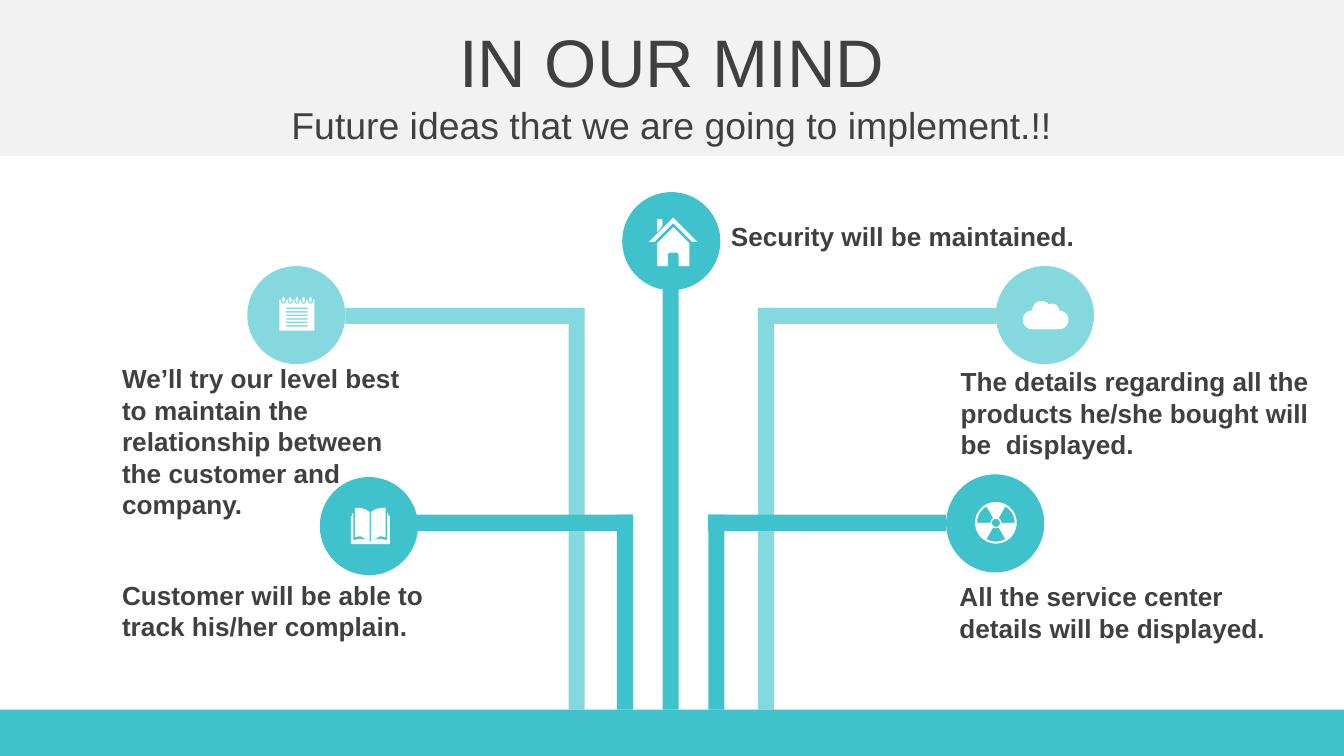
from dataclasses import dataclass
from math import cos, radians, sin

from pptx import Presentation
from pptx.dml.color import RGBColor
from pptx.enum.shapes import MSO_SHAPE
from pptx.enum.text import MSO_ANCHOR, PP_ALIGN
from pptx.shapes.autoshape import Shape
from pptx.slide import Slide
from pptx.util import Inches, Pt

TEAL = RGBColor(0x3F, 0xC2, 0xCB)
LIGHT_TEAL = RGBColor(0x85, 0xD8, 0xDE)
LIGHT_GRAY = RGBColor(0xF2, 0xF2, 0xF2)
DARK_GRAY = RGBColor(0x40, 0x40, 0x40)
WHITE = RGBColor(0xFF, 0xFF, 0xFF)

SLIDE_WIDTH = 10
SLIDE_HEIGHT = SLIDE_WIDTH * 9 / 16
GROUND_TOP = 5.28
BAR_THICKNESS = 0.12
BAR_LENGTH = 1.77
CIRCLE_SIZE = 0.73

Contour = list[tuple[float, float]]


@dataclass
class Branch:
    post_left: float
    bar_left: float
    bar_top: float
    circle_left: float
    circle_top: float
    color: RGBColor


@dataclass
class Label:
    text: str
    left: float
    top: float
    width: float
    height: float
    anchor: MSO_ANCHOR = MSO_ANCHOR.MIDDLE
    size: int = 14
    bold: bool = True
    alignment: PP_ALIGN = PP_ALIGN.LEFT


BRANCHES = [
    Branch(4.23, 2.57, 2.29, 1.84, 1.98, LIGHT_TEAL),
    Branch(5.64, 5.64, 2.29, 7.41, 1.98, LIGHT_TEAL),
    Branch(5.27, 5.27, 3.83, 7.04, 3.53, TEAL),
    Branch(4.59, 2.94, 3.83, 2.38, 3.55, TEAL),
]

LABELS = [
    Label("IN OUR MIND", 0, 0.14, SLIDE_WIDTH, 0.63,
          size=36, bold=False, alignment=PP_ALIGN.CENTER),
    Label("Future ideas that we are going to implement.!!", 0, 0.77, SLIDE_WIDTH, 0.31,
          size=20, bold=False, alignment=PP_ALIGN.CENTER),
    Label("Security will be maintained.", 5.34, 1.59, 3.08, 0.34),
    Label("We’ll try our level best to maintain the relationship between "
          "the customer and company.", 0.81, 2.65, 2.29, 1.51, MSO_ANCHOR.TOP),
    Label("The details regarding all the products he/she bought will be  displayed.",
          7.05, 2.19, 2.81, 1.28, MSO_ANCHOR.BOTTOM),
    Label("Customer will be able to track his/her complain.", 0.81, 4.26, 2.81, 0.57),
    Label("All the service center details will be displayed.", 7.04, 4.27, 2.81, 0.57),
]


def paint(shape: Shape, color: RGBColor) -> None:
    shape.shadow.inherit = False
    shape.fill.solid()
    shape.fill.fore_color.rgb = color
    shape.line.fill.background()


def add_block(slide: Slide, left: float, top: float, width: float, height: float,
              color: RGBColor, kind: MSO_SHAPE = MSO_SHAPE.RECTANGLE) -> None:
    shape = slide.shapes.add_shape(
        kind, Inches(left), Inches(top), Inches(width), Inches(height))
    paint(shape, color)


def add_circle(slide: Slide, left: float, top: float, color: RGBColor) -> None:
    add_block(slide, left, top, CIRCLE_SIZE, CIRCLE_SIZE, color, MSO_SHAPE.OVAL)


def add_branch(slide: Slide, branch: Branch) -> None:
    add_block(slide, branch.post_left, branch.bar_top, BAR_THICKNESS,
              GROUND_TOP - branch.bar_top, branch.color)
    add_block(slide, branch.bar_left, branch.bar_top, BAR_LENGTH, BAR_THICKNESS, branch.color)
    add_circle(slide, branch.circle_left, branch.circle_top, branch.color)


def add_label(slide: Slide, label: Label) -> None:
    box = slide.shapes.add_textbox(
        Inches(label.left), Inches(label.top), Inches(label.width), Inches(label.height))
    frame = box.text_frame
    frame.word_wrap = True
    frame.vertical_anchor = label.anchor
    paragraph = frame.paragraphs[0]
    paragraph.text = label.text
    paragraph.alignment = label.alignment
    paragraph.font.name = "Arial"
    paragraph.font.size = Pt(label.size)
    paragraph.font.bold = label.bold
    paragraph.font.color.rgb = DARK_GRAY


def add_icon(slide: Slide, contours: list[Contour]) -> None:
    """Draw white contours as one outline; a contour inside another is a hole."""
    points = [[(Inches(x), Inches(y)) for x, y in contour] for contour in contours]
    builder = slide.shapes.build_freeform(*points[0][0])
    for index, contour in enumerate(points):
        if index:
            builder.move_to(*contour[0])
        builder.add_line_segments(contour[1:], close=True)
    paint(builder.convert_to_shape(), WHITE)


def arc(x: float, y: float, radius_x: float, radius_y: float,
        start: float = 0, end: float = 360, steps: int = 24) -> Contour:
    """Points on an arc; angles grow clockwise from the right."""
    angles = [radians(start + (end - start) * step / steps) for step in range(steps + 1)]
    return [(x + radius_x * cos(angle), y + radius_y * sin(angle)) for angle in angles]


def house_icon() -> list[Contour]:
    walls = [(5.01, 1.69), (5.13, 1.81), (5.13, 1.98), (5.05, 1.98),
             *arc(5.03, 1.9, 0.02, 0.02, 0, -90), *arc(4.99, 1.9, 0.02, 0.02, 270, 180),
             (4.97, 1.98), (4.89, 1.98), (4.89, 1.81)]
    roof = [(5.01, 1.62), (5.19, 1.8), (5.15, 1.8), (5.01, 1.66), (4.87, 1.8), (4.83, 1.8)]
    chimney = [(4.89, 1.63), (4.93, 1.63), (4.93, 1.68), (4.89, 1.73)]
    return [walls, roof, chimney]


def notebook_icon() -> list[Contour]:
    ring_centers = [2.11 + 0.05 * index for index in range(5)]
    page = [(2.08, 2.23)]
    for x in ring_centers:
        page += [(x - 0.02, 2.23), *arc(x, 2.24, 0.02, 0.02, 180, 0), (x + 0.02, 2.23)]
    page += [(2.34, 2.23), (2.34, 2.46), (2.08, 2.46)]
    rings = [arc(x, 2.23, 0.01, 0.02) for x in ring_centers]
    line_tops = [2.29 + 0.026 * index for index in range(6)]
    lines = [[(2.13, y), (2.29, y), (2.29, y + 0.01), (2.13, y + 0.01)] for y in line_tops]
    return [page, *rings, *lines]


def cloud_icon() -> list[Contour]:
    return [[*arc(7.68, 2.38, 0.07, 0.07, 90, 260), *arc(7.75, 2.31, 0.07, 0.07, 180, 330),
             *arc(7.83, 2.31, 0.05, 0.05, 240, 350), *arc(7.88, 2.38, 0.07, 0.07, 270, 450)]]


def book_icon() -> list[Contour]:
    spine = 2.755

    def mirror(contour: Contour) -> Contour:
        return [(2 * spine - x, y) for x, y in reversed(contour)]

    page = [(2.64, 3.78), (2.68, 3.78), (2.72, 3.79), (2.75, 3.81),
            (2.75, 4.03), (2.72, 4.01), (2.68, 3.99), (2.64, 4.0)]
    half_cover = [(2.61, 4.05), (2.61, 3.84), (2.62, 3.84), (2.62, 3.82), (2.63, 3.82),
                  (2.63, 4.02), (2.67, 4.01), (2.71, 4.01), (2.75, 4.03)]
    return [page, mirror(page), half_cover + mirror(half_cover)]


def radiation_icon() -> list[Contour]:
    x, y = 7.41, 3.89
    gaps = [arc(x, y, 0.14, 0.14, start, start + 60) + arc(x, y, 0.04, 0.04, start + 60, start)
            for start in (60, 180, 300)]
    return [arc(x, y, 0.155, 0.155, steps=48), arc(x, y, 0.03, 0.03), *gaps]


def main() -> None:
    presentation = Presentation()
    presentation.slide_width = Inches(SLIDE_WIDTH)
    presentation.slide_height = Inches(SLIDE_HEIGHT)
    slide = presentation.slides.add_slide(presentation.slide_layouts[6])

    # Header band, branches and ground
    add_block(slide, 0, 0, SLIDE_WIDTH, 1.16, LIGHT_GRAY)
    for branch in BRANCHES:
        add_branch(slide, branch)
    add_block(slide, 0, GROUND_TOP, SLIDE_WIDTH, SLIDE_HEIGHT - GROUND_TOP, TEAL)

    # Central stem
    add_block(slide, 4.93, 1.74, BAR_THICKNESS, GROUND_TOP - 1.74, TEAL)
    add_circle(slide, 4.63, 1.43, TEAL)

    # Icons
    for contours in (book_icon(), cloud_icon(), notebook_icon(), radiation_icon(), house_icon()):
        add_icon(slide, contours)

    # Titles and captions
    for label in LABELS:
        add_label(slide, label)

    presentation.save("out.pptx")


if __name__ == "__main__":
    main()
